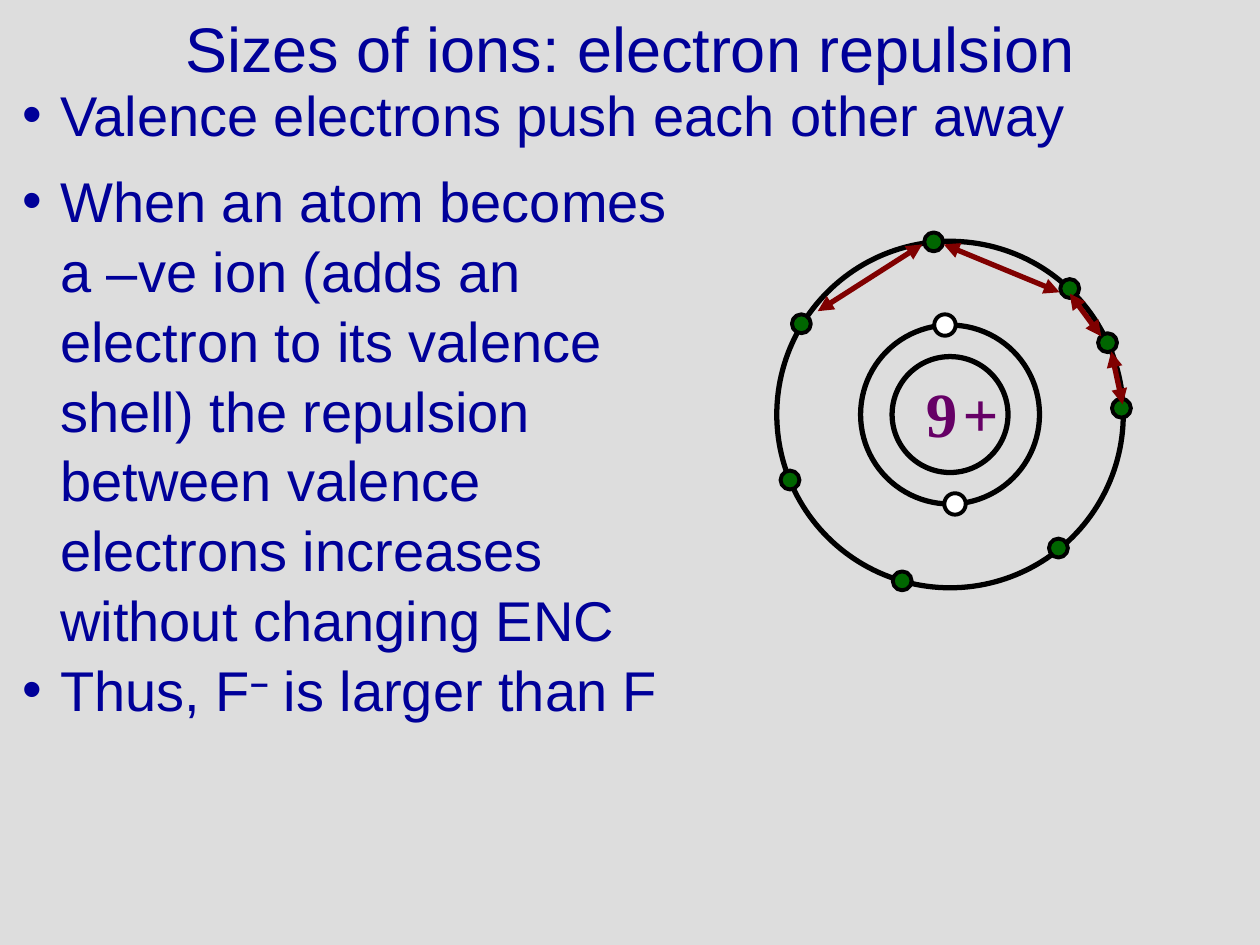
from lxml.etree import SubElement
from pptx import Presentation
from pptx.dml.color import RGBColor
from pptx.enum.shapes import MSO_CONNECTOR, MSO_SHAPE
from pptx.enum.text import MSO_ANCHOR, MSO_AUTO_SIZE, PP_ALIGN
from pptx.oxml.ns import qn
from pptx.util import Inches, Pt

BLUE, GREEN, RED, PURPLE = "000099", "006600", "800000", "660066"
BLACK, WHITE, GREY = "000000", "FFFFFF", "DDDDDD"
HEADING = {"name": "Arial", "size": Pt(36), "bold": False}
BODY = {"name": "Arial", "size": Pt(32), "bold": False}
CHARGE = {"name": "Times New Roman", "size": Pt(36), "bold": True}


def paint(target, color):
    target.rgb = RGBColor.from_string(color)


def style(font, formats, color):
    for name, value in formats.items():
        setattr(font, name, value)
    paint(font.color, color)


def add_span(para, text, formats, color):
    span = para.add_run()
    span.text = text
    style(span.font, formats, color)
    return span


def place(shape, box):
    shape.left, shape.top, shape.width, shape.height = map(Inches, box)


def add_text_box(shapes, box):
    frame = shapes.add_textbox(*map(Inches, box)).text_frame
    frame.word_wrap = True
    return frame


def add_circle(shapes, center, size, line_width, fill=None):
    left, top = (Inches(value - size / 2) for value in center)
    circle = shapes.add_shape(MSO_SHAPE.OVAL, left, top, Inches(size), Inches(size))
    circle.shadow.inherit = False
    if fill:
        circle.fill.solid()
        paint(circle.fill.fore_color, fill)
    else:
        circle.fill.background()
    paint(circle.line.color, BLACK)
    circle.line.width = Pt(line_width)


def add_repulsion(shapes, start, end):
    arrow = shapes.add_connector(MSO_CONNECTOR.STRAIGHT, *map(Inches, start + end))
    paint(arrow.line.color, RED)
    arrow.line.width = Pt(3)
    line = arrow.line._get_or_add_ln()
    for tip in ("a:headEnd", "a:tailEnd"):
        SubElement(line, qn(tip), type="triangle")
    SubElement(arrow._element.spPr, qn("a:effectLst"))


def add_title(page, box):
    title = page.shapes.title
    place(title, box)
    frame = title.text_frame
    frame.vertical_anchor = MSO_ANCHOR.MIDDLE
    frame.auto_size = MSO_AUTO_SIZE.NONE
    para = frame.paragraphs[0]
    para.alignment = PP_ALIGN.CENTER
    add_span(para, "Sizes of ions: electron repulsion", HEADING, BLUE)


def add_bullets(page, box, items, spacing):
    frame = add_text_box(page.shapes, box)
    for index, item in enumerate(items):
        para = frame.add_paragraph() if index else frame.paragraphs[0]
        properties = para._p.get_or_add_pPr()
        properties.set("marL", str(Inches(0.3)))
        properties.set("indent", str(-Inches(0.3)))
        bullet_color = SubElement(properties, qn("a:buClr"))
        SubElement(bullet_color, qn("a:srgbClr"), val=BLUE)
        SubElement(properties, qn("a:buFont"), typeface="Arial")
        SubElement(properties, qn("a:buChar"), char="•")
        para.line_spacing = spacing
        for text, raised in item:
            span = add_span(para, text, {**BODY, "bold": raised}, BLUE)
            if raised:
                span.font._element.set("baseline", "30000")


def add_nucleus(page, center):
    x, y = center
    shapes = page.shapes.add_group_shape().shapes
    for size in (0.92, 1.42):
        add_circle(shapes, center, size, 3)
    for side in (-1, 1):
        add_circle(shapes, (x + side * 0.04, y + side * 0.71), 0.17, 2.25, WHITE)
    frame = add_text_box(shapes, (x - 0.29, y - 0.37, 0.92, 0.7))
    para = frame.paragraphs[0]
    for text, size in (("9", 36), (" ", 12), ("+", 36)):
        add_span(para, text, {**CHARGE, "size": Pt(size)}, PURPLE)


def add_atom(page, center):
    x, y = center
    electrons = [(1.36, -0.05), (-1.27, 0.52), (0.95, -1), (0.86, 1.06),
                 (-0.38, 1.32), (-1.18, -0.72), (-0.13, -1.37), (1.25, -0.57)]
    repulsions = [((0.87, -0.97), (-0.05, -1.35)), ((-0.22, -1.35), (-1.05, -0.82)),
                  ((0.95, -0.96), (1.2, -0.62)), ((1.28, -0.5), (1.37, -0.08))]
    shell = page.shapes.add_group_shape().shapes
    add_circle(shell, center, 2.75, 3)
    for across, down in electrons:
        add_circle(shell, (x + across, y + down), 0.15, 2.25, GREEN)
    add_nucleus(page, center)
    for ends in repulsions:
        start, end = ((x + across, y + down) for across, down in ends)
        add_repulsion(page.shapes, start, end)


def main():
    deck = Presentation()
    deck.slide_width, deck.slide_height = Inches(10), Inches(7.5)
    page = deck.slides.add_slide(deck.slide_layouts[5])
    page.background.fill.solid()
    paint(page.background.fill.fore_color, GREY)
    add_title(page, (0, 0, 10, 0.75))
    add_bullets(page, (0.08, 0.67, 9.83, 0.58),
                [[("Valence electrons push each other away", False)]], 0.85)
    add_bullets(page, (0.08, 1.25, 5.33, 4.25), [
        [("When an atom becomes a –ve ion (adds an electron to its valence shell) "
          "the repulsion between valence electrons increases without changing ENC", False)],
        [("Thus, F", False), ("–", True), (" is larger than F", False)],
    ], 1.04)
    add_atom(page, (7.54, 3.29))
    deck.save("out.pptx")


if __name__ == "__main__":
    main()
